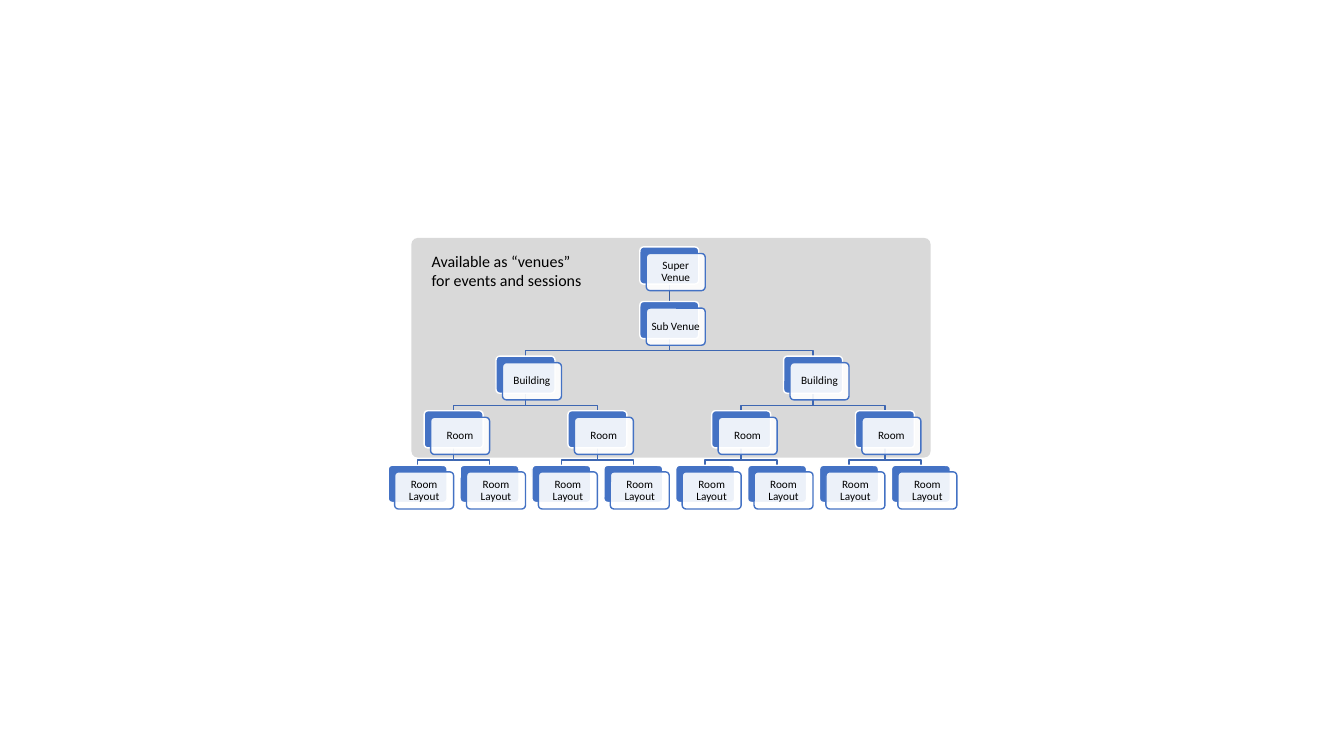
from collections import namedtuple
from lxml import etree
from pptx import Presentation, util as u
from pptx.dml import color
from pptx.enum import shapes, text
from pptx.oxml import ns

Box = namedtuple("Box", "left top width height")
FONT = "Calibri"
LEVELS = [("Super Venue", 1), ("Sub Venue", 1), ("Building", 2), ("Room", 4), ("Room Layout", 8)]
LEAVES = LEVELS[-1][1]
CARD_WIDTH, CARD_HEIGHT = 0.82, 0.68
OFFSET_X, OFFSET_Y = 0.09, 0.12
BEND = 0.9


def rgb(value):
    return color.RGBColor.from_string(value)


def apply(target, values):
    for name, value in values.items():
        setattr(target, name, value)


def set_line(shape, value):
    shape.line.color.rgb = rgb(value)
    shape.line.width = u.Pt(1)


def format_font(paragraph, size):
    apply(paragraph.font, {"name": FONT, "size": u.Pt(size)})
    paragraph.font.color.rgb = rgb("000000")


def rounded(parent, box, radius, fill, line=None, opacity=100):
    shape = parent.add_shape(shapes.MSO_SHAPE.ROUNDED_RECTANGLE, *map(u.Inches, box))
    shape.shadow.inherit = False
    shape.adjustments[0] = radius
    shape.fill.solid()
    shape.fill.fore_color.rgb = rgb(fill)
    if opacity < 100:
        fill_color = shape.fill._xPr.find(ns.qn("a:solidFill"))[0]
        etree.SubElement(fill_color, ns.qn("a:alpha"), val=str(opacity * 1000))
    if line:
        set_line(shape, line)
    else:
        shape.line.fill.background()
    return shape


def add_branch(parent, start, end, bend):
    (x1, y1), (x2, y2) = start, end
    if x1 == x2:
        branch = parent.add_connector(
            shapes.MSO_CONNECTOR.STRAIGHT, *map(u.Inches, (x1, y1, x2, y2)))
        etree.SubElement(branch._element.spPr, ns.qn("a:effectLst"))
        set_line(branch, "365B9D")
        return
    points = [tuple(map(u.Inches, point)) for point in (start, (x1, bend), (x2, bend), end)]
    builder = parent.build_freeform(*points[0])
    builder.add_line_segments(points[1:], close=False)
    branch = builder.convert_to_shape()
    branch.shadow.inherit = False
    branch.fill.background()
    set_line(branch, "3E67B2")


def add_card(parent, box, offset, label):
    rounded(parent, box, 0.1, "4472C4", "FFFFFF")
    front = box._replace(left=box.left + offset[0], top=box.top + offset[1])
    frame = rounded(parent, front, 0.1, "FFFFFF", "4472C4", 90).text_frame
    margins = ("margin_left", "margin_right", "margin_top", "margin_bottom")
    apply(frame, dict.fromkeys(margins, u.Inches(0.04)))
    apply(frame, {"word_wrap": True, "vertical_anchor": text.MSO_ANCHOR.MIDDLE, "text": label})
    paragraph = frame.paragraphs[0]
    apply(paragraph, {"alignment": text.PP_ALIGN.CENTER, "line_spacing": 0.9})
    format_font(paragraph, 8)


def add_venue_tree(slide, box):
    column = box.width / (LEAVES - 1 + CARD_WIDTH + OFFSET_X)
    row = box.height / (len(LEVELS) - 1 + CARD_HEIGHT + OFFSET_Y)
    width, height = CARD_WIDTH * column, CARD_HEIGHT * row
    offset = OFFSET_X * column, OFFSET_Y * row
    tree = slide.shapes.add_group_shape().shapes

    def place(level, index):
        middle = (index + 0.5) * LEAVES / LEVELS[level][1] - 0.5
        return Box(box.left + middle * column, box.top + level * row, width, height)

    nodes = [(level, index) for level, (_, count) in enumerate(LEVELS) for index in range(count)]
    for level, index in nodes[1:]:
        child = place(level, index)
        parent = place(level - 1, index * LEVELS[level - 1][1] // LEVELS[level][1])
        add_branch(tree, (parent.left + width / 2, parent.top + height),
                   (child.left + width / 2, child.top), parent.top + BEND * row)
    for level, index in nodes:
        add_card(tree, place(level, index), offset, LEVELS[level][0])


def add_venue_panel(slide, box):
    rounded(slide.shapes, box, 0.03, "D9D9D9")
    return Box(box.left + 0.02 * box.width, box.top + 0.04 * box.height,
               box.width / 3, 0.225 * box.height)


def add_caption(slide, box):
    frame = slide.shapes.add_textbox(*map(u.Inches, box)).text_frame
    apply(frame, {"word_wrap": False, "auto_size": text.MSO_AUTO_SIZE.SHAPE_TO_FIT_TEXT,
                  "text": "Available as “venues” \vfor events and sessions"})
    format_font(frame.paragraphs[0], 11.4)


def build_venue_slide(presentation):
    slide = presentation.slides.add_slide(presentation.slide_layouts[6])
    caption_box = add_venue_panel(slide, Box(4.08, 2.36, 5.15, 2.18))
    add_venue_tree(slide, Box(3.85, 2.45, 5.64, 2.6))
    add_caption(slide, caption_box)


presentation = Presentation()
apply(presentation, {"slide_width": u.Inches(13.33), "slide_height": u.Inches(7.5)})
build_venue_slide(presentation)
presentation.save("out.pptx")
